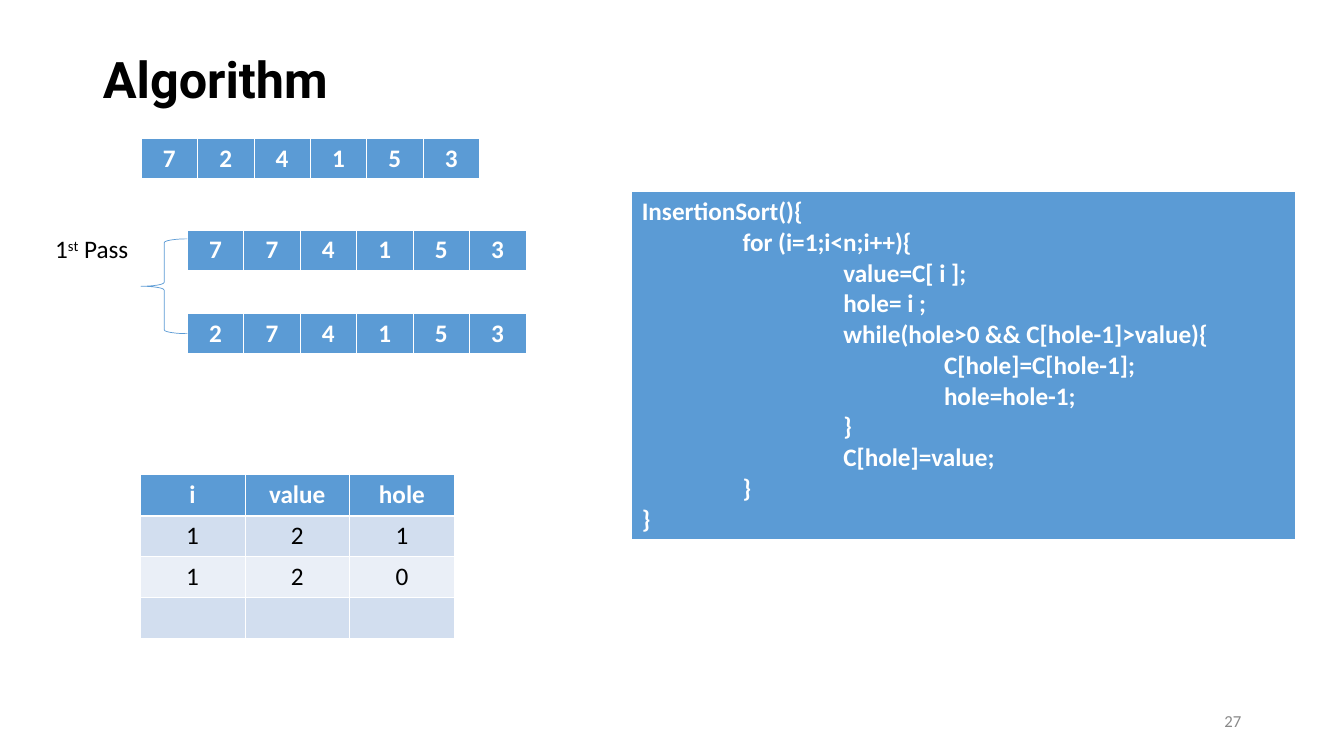
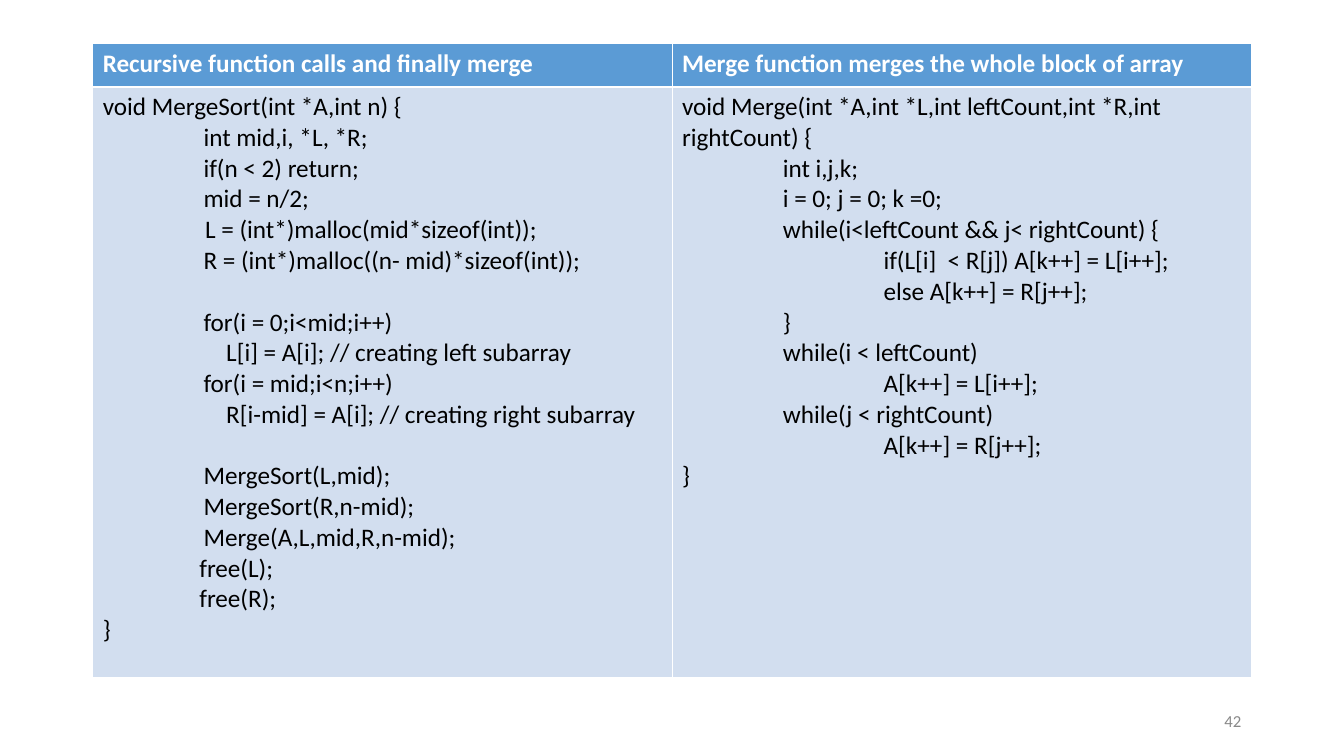
from lxml import etree
from pptx import Presentation
from pptx.dml.color import RGBColor
from pptx.enum.shapes import MSO_SHAPE
from pptx.enum.text import MSO_ANCHOR, PP_ALIGN
from pptx.oxml.ns import qn
from pptx.util import Inches, Pt

LEFT, CENTER, RIGHT = PP_ALIGN.LEFT, PP_ALIGN.CENTER, PP_ALIGN.RIGHT
MIDDLE = MSO_ANCHOR.MIDDLE
LEFT_BRACE = MSO_SHAPE.LEFT_BRACE

COLORS = {
    "header": "5B9BD5",
    "band_dark": "D2DEEF",
    "band_light": "EAEFF7",
    "white": "FFFFFF",
    "black": "000000",
    "gray": "898989",
}
BODY_FONT, TITLE_FONT = "Calibri", "Roboto"
TITLE_ONLY, BLANK = 5, 6
CODE_GAP = Pt(22)
TAB_STOPS = [1, 2, 3]


def format_runs(paragraph, size, color, bold=False, name=BODY_FONT):
    for run in paragraph.runs:
        run.font.name = name
        run.font.size = Pt(size)
        run.font.bold = bold
        run.font.color.rgb = RGBColor.from_string(COLORS[color])


def add_grid(slide, left, top, column_width, row_heights, rows, alignment=LEFT):
    frame = slide.shapes.add_table(
        len(rows), len(rows[0]), Inches(left), Inches(top),
        Inches(column_width * len(rows[0])), Inches(sum(row_heights)))
    table = frame.table
    for column in table.columns:
        column.width = Inches(column_width)
    for row_index, texts in enumerate(rows):
        table.rows[row_index].height = Inches(row_heights[row_index])
        is_header = row_index == 0
        band = "band_dark" if row_index % 2 else "band_light"
        for column_index, text in enumerate(texts):
            cell = table.cell(row_index, column_index)
            properties = cell._tc.get_or_add_tcPr()
            widths = {"lnL": 0.45, "lnR": 0.45,
                      "lnT": 1.47 if row_index == 1 else 0.45,
                      "lnB": 1.47 if is_header else 0.45}
            for side, width in widths.items():
                line = etree.SubElement(properties, qn(f"a:{side}"), w=str(Pt(width)))
                fill = etree.SubElement(line, qn("a:solidFill"))
                etree.SubElement(fill, qn("a:srgbClr"), val=COLORS["white"])
            cell.fill.solid()
            cell.fill.fore_color.rgb = RGBColor.from_string(
                COLORS["header" if is_header else band])
            cell.text_frame.text = text
            for paragraph in cell.text_frame.paragraphs:
                paragraph.alignment = alignment
                if "\n" in text:
                    stops = etree.SubElement(paragraph._p.get_or_add_pPr(), qn("a:tabLst"))
                    for stop in TAB_STOPS:
                        etree.SubElement(stops, qn("a:tab"), pos=str(Inches(stop)), algn="l")
                format_runs(paragraph, 18, "white" if is_header else "black", is_header)
    return table


INSERTION_SORT = """InsertionSort(){
\tfor (i=1;i<n;i++){
\t\tvalue=C[ i ];
\t\thole= i ;
\t\twhile(hole>0 && C[hole-1]>value){
\t\t\tC[hole]=C[hole-1];
\t\t\thole=hole-1;
\t\t}
\t\tC[hole]=value;
\t}
}"""

MERGE_SORT = """void MergeSort(int *A,int n) {
\tint mid,i, *L, *R;
\tif(n < 2) return;
\tmid = n/2;
                  L = (int*)malloc(mid*sizeof(int));
\tR = (int*)malloc((n- mid)*sizeof(int));
\tfor(i = 0;i<mid;i++)
\t    L[i] = A[i]; // creating left subarray
\tfor(i = mid;i<n;i++)
\t    R[i-mid] = A[i]; // creating right subarray
\tMergeSort(L,mid);
\tMergeSort(R,n-mid);
\tMerge(A,L,mid,R,n-mid);
                 free(L);
                 free(R);
}"""
MERGE_SORT_SECTIONS = ["\tfor(i = 0;i<mid;i++)", "\tMergeSort(L,mid);"]

MERGE = """void Merge(int *A,int *L,int leftCount,int *R,int rightCount) {
\tint i,j,k;
\ti = 0; j = 0; k =0;
\twhile(i<leftCount && j< rightCount) {
\t\tif(L[i]  < R[j]) A[k++] = L[i++];
\t\telse A[k++] = R[j++];
\t}
\twhile(i < leftCount)
\t\tA[k++] = L[i++];
\twhile(j < rightCount)
\t\tA[k++] = R[j++];
}"""

presentation = Presentation()
presentation.slide_width = Inches(13.34)
presentation.slide_height = Inches(7.5)

insertion_slide = presentation.slides.add_slide(presentation.slide_layouts[TITLE_ONLY])
merge_slide = presentation.slides.add_slide(presentation.slide_layouts[BLANK])

title = insertion_slide.shapes.title
title.left, title.top = Inches(0.92), Inches(0.4)
title.width, title.height = Inches(11.5), Inches(0.84)
title.text_frame.text = "Algorithm"
title.text_frame.vertical_anchor = MIDDLE
title_paragraph = title.text_frame.paragraphs[0]
title_paragraph.alignment = LEFT
title_paragraph.line_spacing = 0.9
format_runs(title_paragraph, 36, "black", True, TITLE_FONT)

add_grid(insertion_slide, 6.27, 1.9, 6.59, [3.4], [[INSERTION_SORT]])
add_grid(insertion_slide, 1.39, 4.71, 1.04, [0.4] * 4,
         [["i", "value", "hole"], ["1", "2", "1"], ["1", "2", "0"], ["", "", ""]], CENTER)
for left, top, numbers in [(1.4, 1.37, "724153"), (1.86, 2.28, "774153"), (1.86, 3.11, "274153")]:
    add_grid(insertion_slide, left, top, 0.56, [0.4], [list(numbers)], CENTER)

pass_label = insertion_slide.shapes.add_textbox(Inches(0.45), Inches(2.27), Inches(0.93), Inches(0.4))
pass_label.text_frame.word_wrap = False
pass_paragraph = pass_label.text_frame.paragraphs[0]
for text in ["1", "st", " Pass"]:
    pass_paragraph.add_run().text = text
format_runs(pass_paragraph, 18, "black")
pass_paragraph.runs[1]._r.get_or_add_rPr().set("baseline", "30000")

brace = insertion_slide.shapes.add_shape(
    LEFT_BRACE, Inches(1.4), Inches(2.37), Inches(0.46), Inches(0.94))
brace.shadow.inherit = False
brace.fill.background()
brace.line.color.rgb = RGBColor.from_string(COLORS["header"])
brace.line.width = Pt(0.5)

merge_table = add_grid(
    merge_slide, 0.92, 0.43, 5.75, [0.43, 5.86],
    [["Recursive function calls and finally merge",
      "Merge function merges the whole block of array"],
     [MERGE_SORT, MERGE]])
for paragraph in merge_table.cell(1, 0).text_frame.paragraphs:
    if paragraph.text in MERGE_SORT_SECTIONS:
        paragraph.space_before = CODE_GAP

for slide, number in [(insertion_slide, "27"), (merge_slide, "42")]:
    number_box = slide.shapes.add_textbox(Inches(9.42), Inches(6.95), Inches(3), Inches(0.4))
    number_box.text_frame.word_wrap = True
    number_box.text_frame.vertical_anchor = MIDDLE
    number_box.text_frame.text = number
    number_paragraph = number_box.text_frame.paragraphs[0]
    number_paragraph.alignment = RIGHT
    format_runs(number_paragraph, 12, "gray")

presentation.save("out.pptx")
